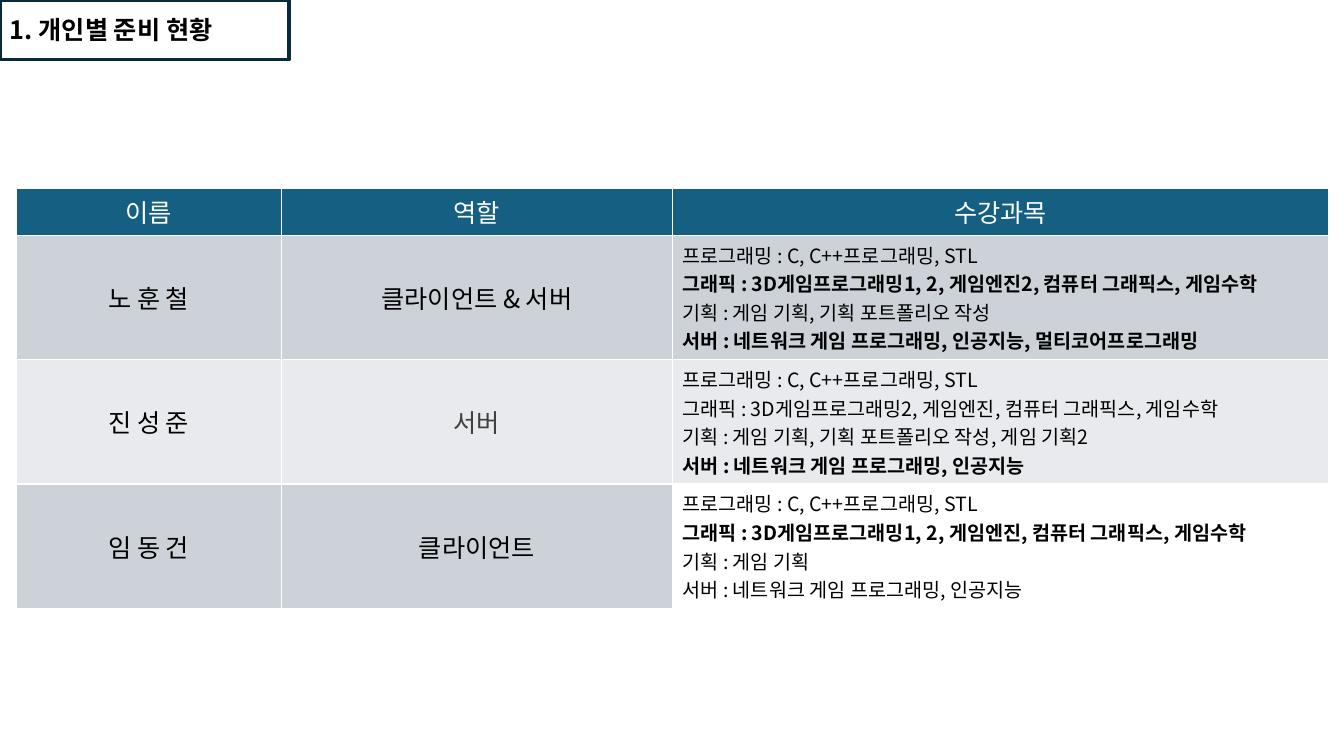
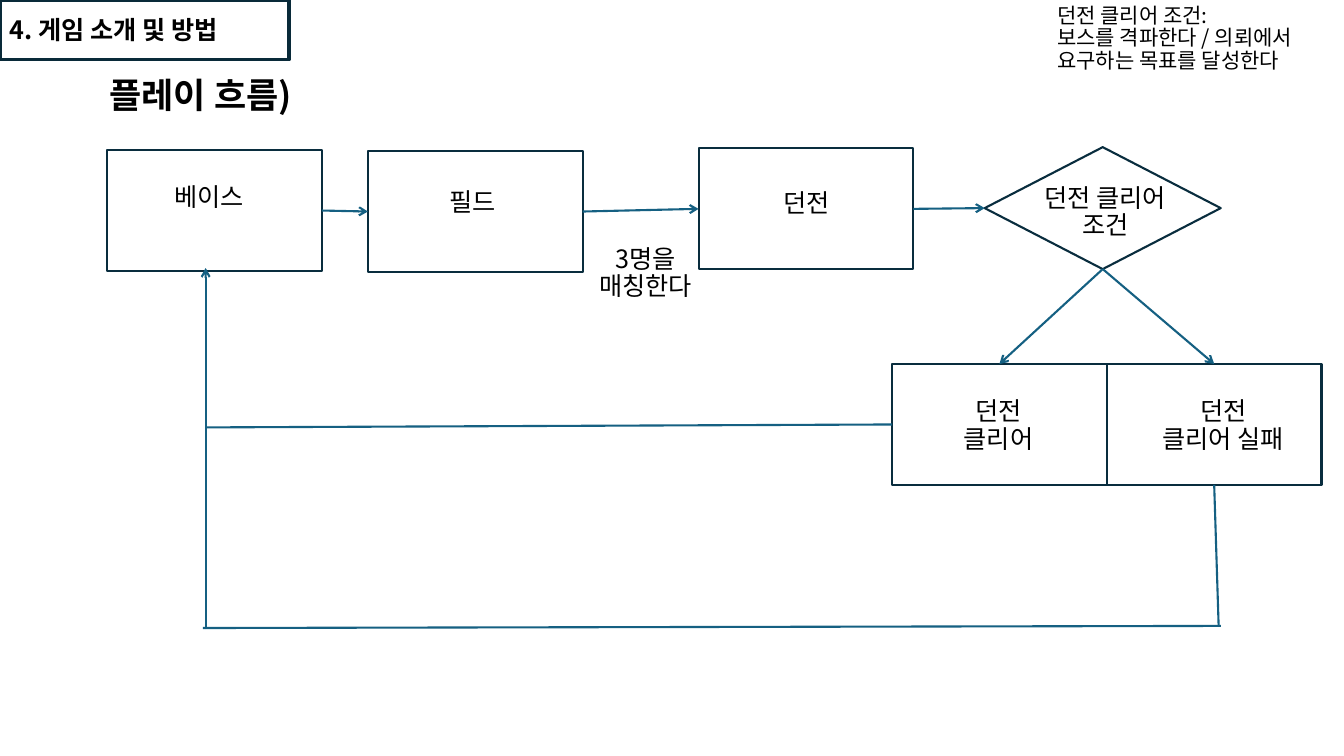
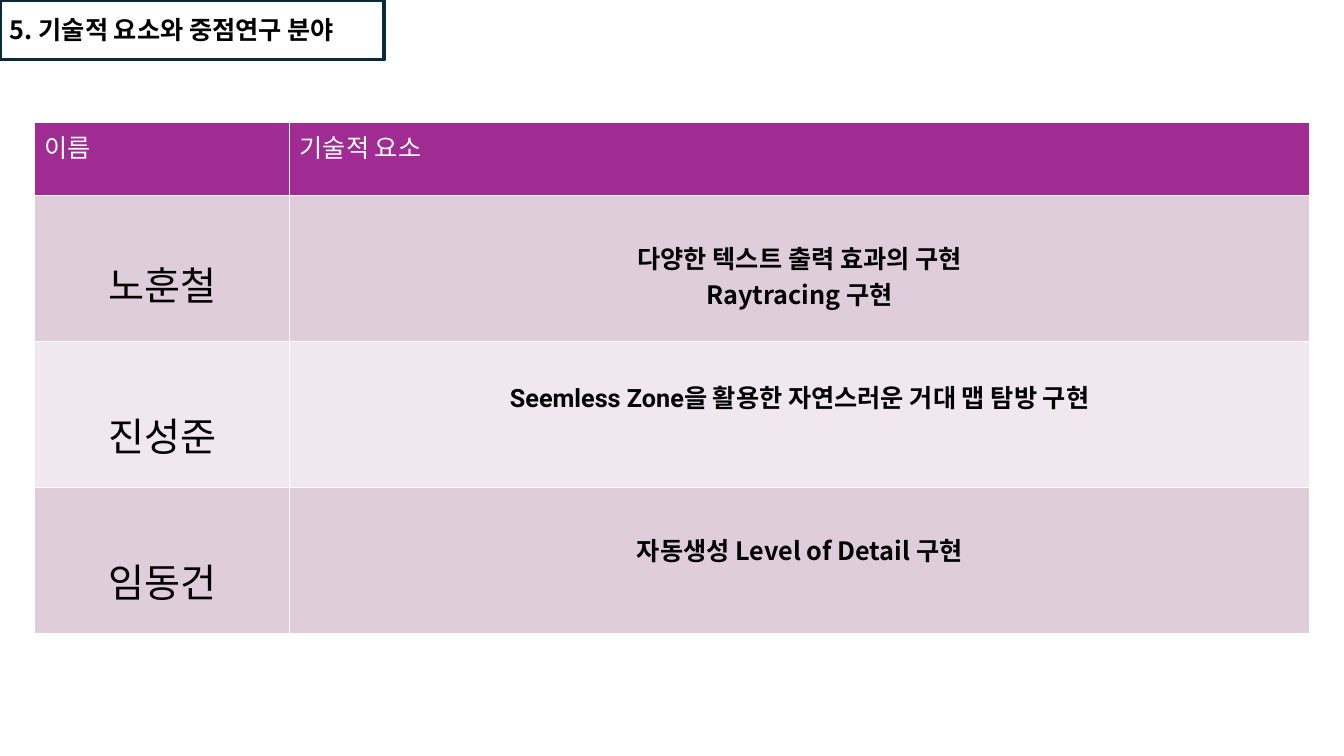
"""Builds three slides of a game project proposal: team, play flow and technical focus."""
from lxml import etree
from pptx import Presentation
from pptx import util as u
from pptx.dml.color import RGBColor
from pptx.enum import shapes, text
from pptx.oxml.ns import qn

FONT = "Noto Sans CJK KR"
LATIN_FONT = "Roboto"
BLACK = RGBColor(0x00, 0x00, 0x00)
WHITE = RGBColor(0xFF, 0xFF, 0xFF)
GRAY = RGBColor(0x40, 0x40, 0x40)
TITLE_LINE = RGBColor(0x09, 0x2A, 0x39)
BOX_LINE = RGBColor(0x09, 0x2D, 0x3E)
TEAL = RGBColor(0x15, 0x60, 0x82)
TEAL_BAND = RGBColor(0xCC, 0xD2, 0xD8)
TEAL_LIGHT = RGBColor(0xE8, 0xEA, 0xED)
PURPLE = RGBColor(0xA0, 0x2B, 0x93)
PURPLE_BAND = RGBColor(0xDF, 0xCD, 0xDC)
PURPLE_LIGHT = RGBColor(0xF0, 0xE8, 0xEE)

LEFT, CENTER = text.PP_ALIGN.LEFT, text.PP_ALIGN.CENTER
TOP, MIDDLE = text.MSO_ANCHOR.TOP, text.MSO_ANCHOR.MIDDLE
RECTANGLE = shapes.MSO_SHAPE.RECTANGLE
DECISION = shapes.MSO_SHAPE.FLOWCHART_DECISION
SIDE_TOP, SIDE_LEFT, SIDE_BOTTOM, SIDE_RIGHT = range(4)


class Deck:
    def __init__(self):
        self.presentation = Presentation()
        self.presentation.slide_width = u.Pt(960)
        self.presentation.slide_height = u.Pt(540)
        self.slide = None

    def new_slide(self):
        self.slide = self.presentation.slides.add_slide(self.presentation.slide_layouts[6])

    def set_text(self, frame, words, size=18, color=BLACK, bold=False, align=LEFT,
                 font=FONT, spacing=None):
        frame.word_wrap = True
        for index, line in enumerate(words.split("\n")):
            paragraph = frame.add_paragraph() if index else frame.paragraphs[0]
            paragraph.text = line
            paragraph.alignment = align
            if spacing:
                paragraph.line_spacing = spacing
            paragraph.font.size = u.Pt(size)
            paragraph.font.bold = bold
            paragraph.font.color.rgb = color
            paragraph.font.name = font
            defaults = paragraph._p.pPr.find(qn("a:defRPr"))
            etree.SubElement(defaults, qn("a:ea"), typeface=FONT)

    def box(self, left, top, width, height, kind=RECTANGLE, line=BOX_LINE, weight=1.5):
        shape = self.slide.shapes.add_shape(
            kind, u.Pt(left), u.Pt(top), u.Pt(width), u.Pt(height))
        shape.shadow.inherit = False
        shape.fill.background()
        shape.line.color.rgb = line
        shape.line.width = u.Pt(weight)
        return shape

    def title(self, words, width):
        shape = self.box(0, 0, width, 42.5, line=TITLE_LINE, weight=2.75)
        shape.text_frame.vertical_anchor = MIDDLE
        self.set_text(shape.text_frame, words, bold=True)

    def label(self, words, left, top, width, height, **style):
        shape = self.slide.shapes.add_textbox(u.Pt(left), u.Pt(top), u.Pt(width), u.Pt(height))
        self.set_text(shape.text_frame, words, spacing=0.9, **style)

    def line(self, start, end, arrow=False):
        connector = self.slide.shapes.add_connector(shapes.MSO_CONNECTOR.STRAIGHT, 0, 0, 0, 0)
        if isinstance(start[0], (int, float)):
            connector.begin_x, connector.begin_y = map(u.Pt, start)
        else:
            connector.begin_connect(*start)
        if isinstance(end[0], (int, float)):
            connector.end_x, connector.end_y = map(u.Pt, end)
        else:
            connector.end_connect(*end)
        connector.line.color.rgb = TEAL
        connector.line.width = u.Pt(1.5)
        properties = connector._element.spPr
        if arrow:
            etree.SubElement(properties.find(qn("a:ln")), qn("a:tailEnd"), type="arrow")
        etree.SubElement(properties, qn("a:effectLst"))

    def table(self, left, top, widths, heights):
        frame = self.slide.shapes.add_table(
            len(heights), len(widths), u.Pt(left), u.Pt(top),
            u.Pt(sum(widths)), u.Pt(sum(heights)))
        table = frame.table
        table.first_row = table.horz_banding = False
        for column, width in zip(table.columns, widths):
            column.width = u.Pt(width)
        for row, height in zip(table.rows, heights):
            row.height = u.Pt(height)
        return table

    def cell(self, cell, words, fill, anchor=TOP, margin_top=3.6, **style):
        properties = cell._tc.get_or_add_tcPr()
        for side in ("a:lnL", "a:lnR", "a:lnT", "a:lnB"):
            border = etree.SubElement(properties, qn(side), w=str(int(u.Pt(1))))
            solid = etree.SubElement(border, qn("a:solidFill"))
            etree.SubElement(solid, qn("a:srgbClr"), val=str(WHITE))
        if fill is None:
            cell.fill.background()
        else:
            cell.fill.solid()
            cell.fill.fore_color.rgb = fill
        cell.vertical_anchor = anchor
        cell.margin_top = u.Pt(margin_top)
        self.set_text(cell.text_frame, words, **style)


def team_slide(deck):
    deck.new_slide()
    table = deck.table(11.5, 134.6, (189.4, 279.4, 468.7), (33.4, 88.7, 88.7, 88.7))
    for column, heading in enumerate(("이름", "역할", "수강과목")):
        deck.cell(table.cell(0, column), heading, TEAL, color=WHITE, align=CENTER)
    programming = "프로그래밍 : C, C++프로그래밍, STL\n"
    members = (
        ("노 훈 철", "클라이언트 & 서버", BLACK, TEAL_BAND, TEAL_BAND, (1, 3),
         "그래픽 : 3D게임프로그래밍1, 2, 게임엔진2, 컴퓨터 그래픽스, 게임수학\n"
         "기획 : 게임 기획, 기획 포트폴리오 작성\n"
         "서버 : 네트워크 게임 프로그래밍, 인공지능, 멀티코어프로그래밍"),
        ("진 성 준", "서버", GRAY, TEAL_LIGHT, TEAL_LIGHT, (3,),
         "그래픽 : 3D게임프로그래밍2, 게임엔진, 컴퓨터 그래픽스, 게임수학\n"
         "기획 : 게임 기획, 기획 포트폴리오 작성, 게임 기획2\n"
         "서버 : 네트워크 게임 프로그래밍, 인공지능"),
        ("임 동 건", "클라이언트", BLACK, TEAL_BAND, None, (1,),
         "그래픽 : 3D게임프로그래밍1, 2, 게임엔진, 컴퓨터 그래픽스, 게임수학\n"
         "기획 : 게임 기획\n"
         "서버 : 네트워크 게임 프로그래밍, 인공지능"),
    )
    for row, (name, role, role_color, band, course_fill, strong, courses) in enumerate(members, 1):
        deck.cell(table.cell(row, 0), name, band, MIDDLE, align=CENTER)
        deck.cell(table.cell(row, 1), role, band, MIDDLE, color=role_color, align=CENTER)
        course_cell = table.cell(row, 2)
        deck.cell(course_cell, programming + courses, course_fill, size=14)
        for index in strong:
            course_cell.text_frame.paragraphs[index].font.bold = True
    deck.title("1. 개인별 준비 현황", 206.6)


def flow_slide(deck):
    deck.new_slide()
    deck.title("4. 게임 소개 및 방법", 206.6)
    width, height = 153.4, 86.4
    base = deck.box(76.5, 107.2, width, height)
    field = deck.box(262.8, 107.9, width, height)
    dungeon = deck.box(499, 106, width, height)
    decision = deck.box(703.4, 105.1, 168.6, 87.1, DECISION)
    cleared = deck.box(637.2, 260, width, height)
    failed = deck.box(637.2 + width, 260, width, height)

    for words, left, top in (
        ("베이스", 86.4, 128.2),
        ("필드", 274.3, 131.8),
        ("던전", 513.4, 132.5),
        ("던전 클리어 조건", 726.5, 128.9),
        ("던전\n클리어", 650.2, 281.5),
        ("던전\n클리어 실패", 810.7, 281.5),
    ):
        deck.label(words, left, top, 126, 46.8, align=CENTER)
    deck.label("3명을\n매칭한다", 409, 172.8, 104.4, 43.2, align=CENTER)
    deck.label("플레이 흐름)", 71.3, 52.6, 198, 41, size=25, bold=True)
    deck.label("던전 클리어 조건:\n보스를 격파한다 / 의뢰에서 요구하는 목표를 달성한다",
               748.1, 0, 211.7, 104.4, size=15)

    for start, end in (
        ((base, SIDE_RIGHT), (field, SIDE_LEFT)),
        ((field, SIDE_RIGHT), (dungeon, SIDE_LEFT)),
        ((dungeon, SIDE_RIGHT), (decision, SIDE_LEFT)),
        ((decision, SIDE_BOTTOM), (cleared, SIDE_TOP)),
        ((decision, SIDE_BOTTOM), (failed, SIDE_TOP)),
        ((146.9, 449.3), (146.9, 191.5)),
    ):
        deck.line(start, end, arrow=True)
    deck.line((cleared, SIDE_LEFT), (146.9, 305.3))
    deck.line((failed, SIDE_BOTTOM), (870.5, 447.8))
    deck.line((145, 448.6), (872, 447.1))


def technology_slide(deck):
    deck.new_slide()
    table = deck.table(24.7, 87.8, (182.2, 728.6), (51.8, 104.4, 104.4, 104.4))
    for column, heading in enumerate(("이름", "기술적 요소")):
        deck.cell(table.cell(0, column), heading, PURPLE, color=WHITE)
    topics = (
        ("노훈철", 43, "다양한 텍스트 출력 효과의 구현\vRaytracing 구현", 31, FONT, PURPLE_BAND),
        ("진성준", 46, "Seemless Zone을 활용한 자연스러운 거대 맵 탐방 구현", 26,
         LATIN_FONT, PURPLE_LIGHT),
        ("임동건", 46, "자동생성 Level of Detail 구현", 31, FONT, PURPLE_BAND),
    )
    for row, (name, name_top, topic, topic_top, font, band) in enumerate(topics, 1):
        deck.cell(table.cell(row, 0), name, band, margin_top=name_top, size=28, align=CENTER)
        deck.cell(table.cell(row, 1), topic, band, margin_top=topic_top, bold=True,
                  align=CENTER, font=font)
    deck.title("5. 기술적 요소와 중점연구 분야", 274.3)


def main():
    deck = Deck()
    team_slide(deck)
    flow_slide(deck)
    technology_slide(deck)
    deck.presentation.save("out.pptx")


if __name__ == "__main__":
    main()
